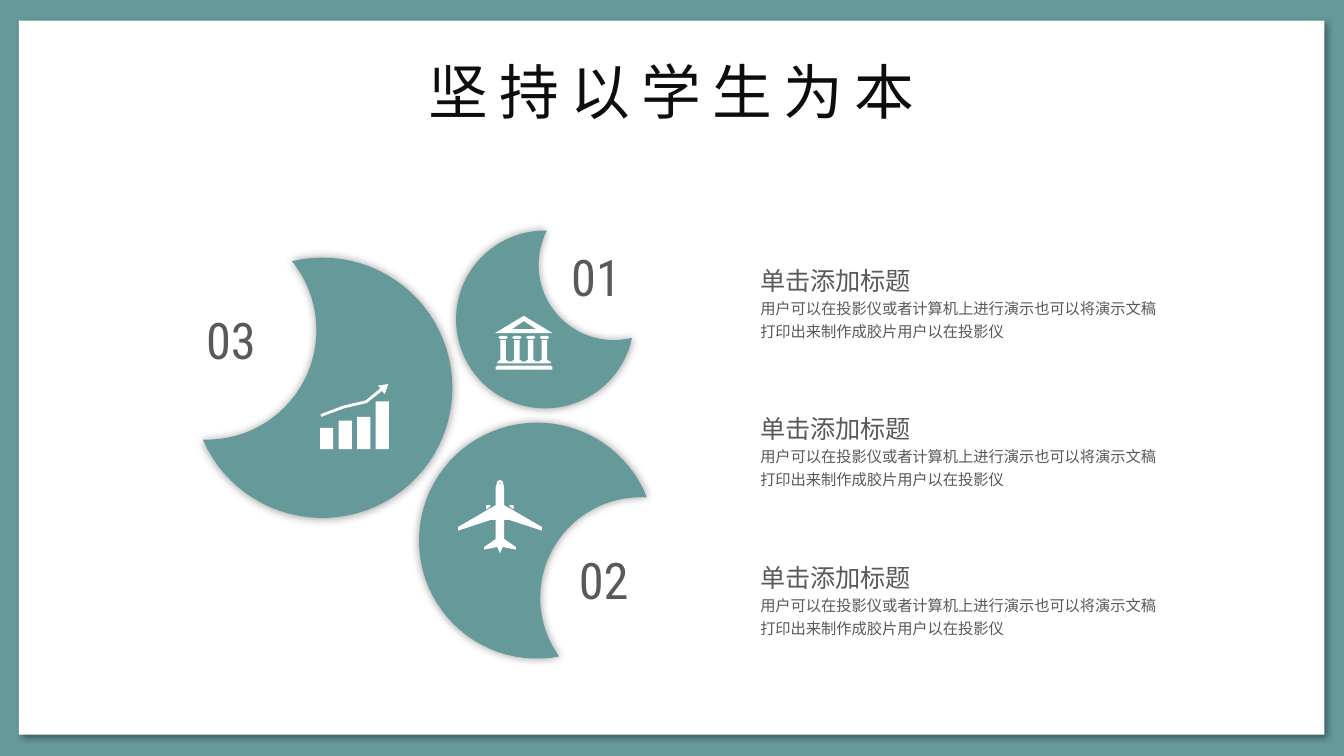
from math import acos, atan2, cos, dist, pi, sin

from lxml.etree import SubElement
from pptx import Presentation
from pptx.dml.color import RGBColor
from pptx.enum.shapes import MSO_SHAPE as Preset
from pptx.enum.text import MSO_ANCHOR as Anchor, MSO_AUTO_SIZE as AutoSize, PP_ALIGN as Align
from pptx.oxml.ns import qn
from pptx.util import Cm, Pt

COLORS = {
    "teal": "66999A",
    "white": "FFFFFF",
    "black": "000000",
    "title": "0D0D0D",
    "gray": "595959",
}
CJK_FONT = "Noto Sans CJK SC"
NUMBER_FONT = "Roboto Condensed"
HEADING = "单击添加标题"
BODY = "用户可以在投影仪或者计算机上进行演示也可以将演示文稿打印出来制作成胶片用户以在投影仪"

# Outer centre, outer radius, bite centre, bite radius
CRESCENTS = [
    ((6.09, 7.33), 2.46, (3.91, 6.24), 2.07),
    ((10.3, 6.04), 1.68, (11.6, 5.01), 1.42),
    ((10.15, 10.22), 2.23, (12.11, 11.3), 1.9),
]
NUMBERS = [
    ("01", (10.77, 4.57, 0.99, 1.3)),
    ("02", (10.85, 10.31, 1.12, 1.3)),
    ("03", (3.78, 5.77, 1.17, 1.3)),
]


def rgb(color):
    return RGBColor.from_string(COLORS[color])


def paint(shape, color):
    shape.shadow.inherit = False
    shape.fill.solid()
    shape.fill.fore_color.rgb = rgb(color)
    shape.line.fill.background()
    return shape


def add_rect(slide, box, color):
    rect = slide.shapes.add_shape(Preset.RECTANGLE, *map(Cm, box))
    return paint(rect, color)


def add_outline(slide, color, *contours):
    """Draw closed contours as one shape; a second contour cuts a hole."""
    contours = [[(Cm(x), Cm(y)) for x, y in contour] for contour in contours]
    builder = slide.shapes.build_freeform(*contours[0][0])
    for index, contour in enumerate(contours):
        if index:
            builder.move_to(*contour[0])
        builder.add_line_segments(contour[1:], close=True)
    return paint(builder.convert_to_shape(), color)


def add_shadow(shape, blur, distance=0, angle=0):
    effects = shape._element.spPr.find(qn("a:effectLst"))
    shadow = SubElement(effects, qn("a:outerShdw"), blurRad=str(Pt(blur)),
                        dist=str(Pt(distance)), dir=str(angle * 60000),
                        algn="ctr", rotWithShape="0")
    color = SubElement(shadow, qn("a:srgbClr"), val=COLORS["black"])
    SubElement(color, qn("a:alpha"), val="40000")


def add_text(slide, words, box, size, font=CJK_FONT, color="gray", align=Align.LEFT,
             line_spacing=None, letter_spacing=None, insets=None, fixed=False):
    """Add one line or paragraph; a fixed box is unwrapped and centred vertically."""
    textbox = slide.shapes.add_textbox(*map(Cm, box))
    frame = textbox.text_frame
    frame.word_wrap = not fixed
    frame.auto_size = AutoSize.NONE if fixed else AutoSize.SHAPE_TO_FIT_TEXT
    frame.vertical_anchor = Anchor.MIDDLE if fixed else Anchor.TOP
    if insets is not None:
        frame.margin_left = frame.margin_right = Cm(insets[0])
        frame.margin_top = frame.margin_bottom = Cm(insets[1])
    paragraph = frame.paragraphs[0]
    paragraph.alignment = align
    if line_spacing:
        paragraph.line_spacing = line_spacing
    run = paragraph.add_run()
    run.text = words
    run.font.size = Pt(size)
    run.font.color.rgb = rgb(color)
    run.font.name = font
    properties = run._r.get_or_add_rPr()
    SubElement(properties, qn("a:ea"), typeface=font)
    if letter_spacing:
        properties.set("spc", str(letter_spacing * 100))


def arc(center, radius, start, end, steps=60):
    angles = [start + (end - start) * step / steps for step in range(steps + 1)]
    return [(center[0] + radius * cos(a), center[1] + radius * sin(a)) for a in angles]


def add_crescent(slide, center, radius, bite_center, bite_radius):
    """Draw a disc with a round bite, joining the arcs where the circles cross."""
    gap = dist(center, bite_center)
    toward = atan2(bite_center[1] - center[1], bite_center[0] - center[0])
    half = acos((radius**2 + gap**2 - bite_radius**2) / (2 * radius * gap))
    bite_half = acos((bite_radius**2 + gap**2 - radius**2) / (2 * bite_radius * gap))
    outer = arc(center, radius, toward + half, toward + 2 * pi - half)
    inner = arc(bite_center, bite_radius, toward + pi + bite_half, toward + pi - bite_half)
    add_shadow(add_outline(slide, "teal", outer + inner[1:-1]), blur=5)


def add_growth_icon(slide):
    trend = [(6.07, 7.88), (6.5, 7.72), (6.93, 7.62), (7.22, 7.39), (7.27, 7.45), (7.34, 7.26),
             (7.14, 7.29), (7.19, 7.34), (6.91, 7.57), (6.48, 7.67), (6.06, 7.83)]
    add_outline(slide, "white", trend)
    for index, height in enumerate([0.4, 0.54, 0.61, 0.9]):
        add_rect(slide, (6.05 + 0.35 * index, 8.49 - height, 0.25, height), "white")


def add_bank_icon(slide):
    roof = [(9.9, 5.97), (9.35, 6.3), (10.45, 6.3)]
    gable = [(9.9, 6.07), (10.13, 6.22), (9.68, 6.22)]
    add_outline(slide, "white", roof, gable)
    colonnade = [(9.4, 6.87), (9.4, 6.83)]
    for index in range(4):
        x = 9.51 + 0.26 * index
        add_outline(slide, "white", [
            (x - 0.09, 6.38), (x - 0.06, 6.35), (x + 0.06, 6.35),
            (x + 0.09, 6.38), (x + 0.05, 6.41), (x - 0.05, 6.41)])
        colonnade += [(x - 0.08, 6.83), (x - 0.08, 6.81), (x - 0.05, 6.81), (x - 0.05, 6.43),
                      (x + 0.05, 6.43), (x + 0.05, 6.81), (x + 0.08, 6.81), (x + 0.08, 6.83)]
    add_outline(slide, "white", colonnade + [(10.41, 6.83), (10.41, 6.87)])
    add_outline(slide, "white", [(9.37, 6.99), (9.37, 6.94), (9.4, 6.91),
                                 (10.41, 6.91), (10.44, 6.94), (10.44, 6.99)])


def add_plane_icon(slide):
    axis = 9.45
    nose, tail = (axis, 9.07), (axis, 10.46)
    side = [(0.05, 9.1), (0.08, 9.22), (0.08, 9.55), (0.79, 9.96), (0.79, 10.03),
            (0.18, 9.83), (0.08, 9.83), (0.08, 10.19), (0.3, 10.34), (0.3, 10.39), (0.05, 10.34)]
    right = [(axis + x, y) for x, y in side]
    left = [(axis - x, y) for x, y in reversed(side)]
    cockpit = [(axis - 0.05, 9.17), (axis, 9.12), (axis + 0.05, 9.17), (axis, 9.14)]
    add_outline(slide, "white", [nose, *right, tail, *left], cockpit)
    engine = [(0.18, 9.58), (0.26, 9.63), (0.26, 9.55), (0.18, 9.55)]
    for mirror in (-1, 1):
        add_outline(slide, "white", [(axis + mirror * x, y) for x, y in engine])


def main():
    deck = Presentation()
    deck.slide_width, deck.slide_height = Cm(25.4), Cm(14.29)
    slide = deck.slides.add_slide(deck.slide_layouts[6])
    slide.background.fill.solid()
    slide.background.fill.fore_color.rgb = rgb("teal")
    page = add_rect(slide, (0.36, 0.39, 24.67, 13.5), "white")
    add_shadow(page, blur=4, distance=3, angle=45)

    for crescent in CRESCENTS:
        add_crescent(slide, *crescent)
    for number, box in NUMBERS:
        add_text(slide, number, box, 27, NUMBER_FONT, align=Align.CENTER,
                 insets=(0, 0), fixed=True)
    add_growth_icon(slide)
    add_bank_icon(slide)
    add_plane_icon(slide)

    for index in range(3):
        drop = 2.81 * index
        add_text(slide, BODY, (14.12, 5.44 + drop, 8.1, 1.14), 8.2, line_spacing=1.25)
        add_text(slide, HEADING, (14.12, 4.77 + drop, 4.27, 0.89), 13.5, line_spacing=1.2)
    add_text(slide, "坚持以学生为本", (6.78, 0.94, 11.84, 1.6), 32, color="title",
             align=Align.CENTER, letter_spacing=6, insets=(0.23, 0.1))
    deck.save("out.pptx")


if __name__ == "__main__":
    main()
